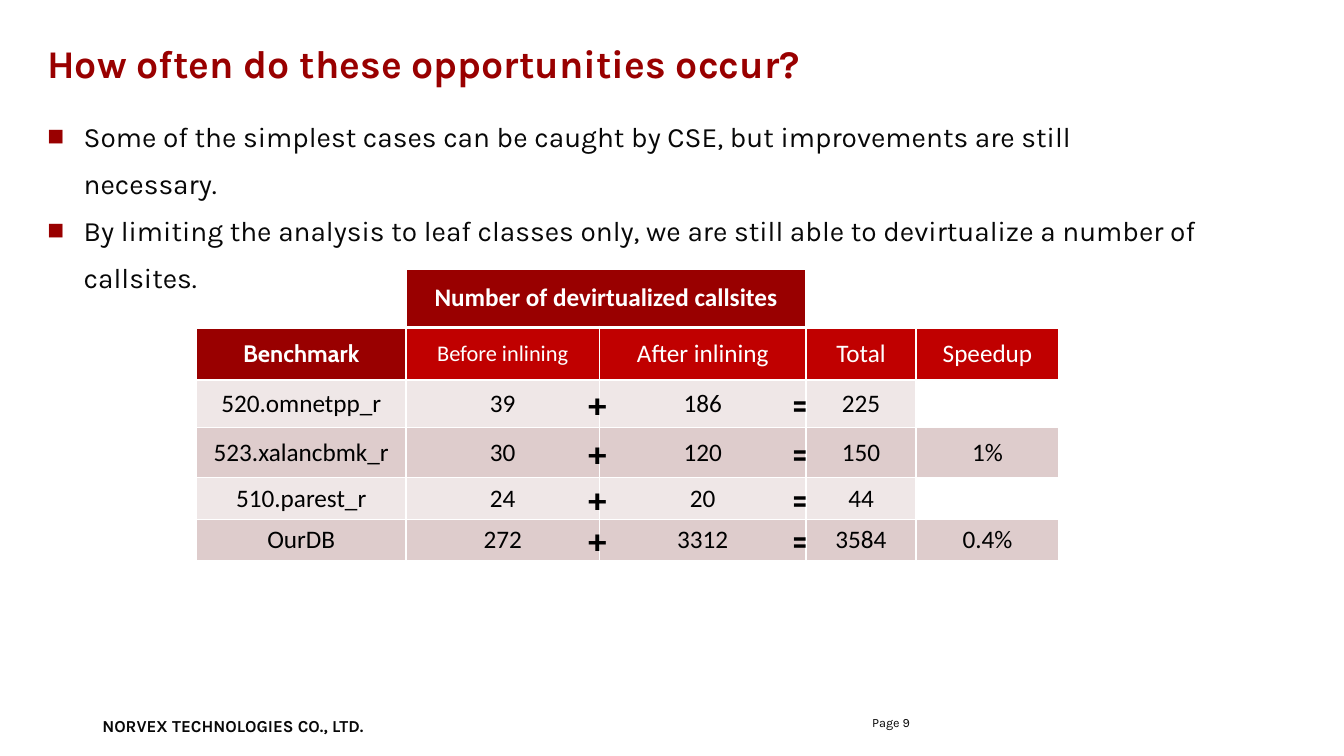
from dataclasses import dataclass
from itertools import accumulate

from lxml.etree import SubElement
from pptx import Presentation
from pptx.dml.color import RGBColor
from pptx.enum.text import MSO_ANCHOR, MSO_AUTO_SIZE, PP_ALIGN
from pptx.oxml import parse_xml
from pptx.oxml.ns import nsdecls, qn
from pptx.util import Pt


@dataclass(frozen=True)
class Theme:
    brand: str = "990000"
    header: str = "C00000"
    bands: tuple = ("EFE7E7", "DECCCC")
    ink: str = "080808"
    black: str = "000000"
    white: str = "FFFFFF"
    text_font: str = "Karla"
    table_font: str = "Calibri"
    label_font: str = "Cabin"
    title_size: int = 28
    operator_size: int = 24
    body_size: int = 20
    table_size: int = 18
    label_size: int = 17
    small_header_size: int = 16
    footer_size: int = 12
    page_size: int = 9


THEME = Theme()
BULLETS = (
    "Some of the simplest cases can be caught by CSE, but improvements are still necessary.",
    "By limiting the analysis to leaf classes only, we are still able to devirtualize a number of callsites.",
)
HEADERS = ("Benchmark", "Before inlining", "After inlining", "Total", "Speedup")
RESULTS = (
    ("520.omnetpp_r", "39", "186", "225", ""),
    ("523.xalancbmk_r", "30", "120", "150", "1%"),
    ("510.parest_r", "24", "20", "44", ""),
    ("OurDB", "272", "3312", "3584", "0.4%"),
)
COLUMN_WIDTHS = (51, 98.6, 138.2, 147.6, 78.5, 102.2)
ROW_HEIGHTS = (41.8, 37.4, 33.8, 36, 30.2, 27.4)


def add_run(paragraph, text, size, color, font=THEME.text_font, bold=False):
    run = paragraph.add_run()
    run.text = text
    run.font.size = Pt(size)
    run.font.name = font
    run.font.bold = bold
    run.font.color.rgb = RGBColor.from_string(color)


def place(shape, box):
    shape.left, shape.top, shape.width, shape.height = map(Pt, box)


def add_label(shapes, box, text, size, color, bold=False, wrap=True):
    frame = shapes.add_textbox(*map(Pt, box)).text_frame
    frame.word_wrap = wrap
    add_run(frame.paragraphs[0], text, size, color, bold=bold)
    return frame


def fill_title(title, box):
    place(title, box)
    frame = title.text_frame
    frame.auto_size = MSO_AUTO_SIZE.NONE
    frame.vertical_anchor = MSO_ANCHOR.MIDDLE
    paragraph = frame.paragraphs[0]
    paragraph.alignment = PP_ALIGN.LEFT
    add_run(paragraph, "How often do these opportunities occur?",
            THEME.title_size, THEME.brand, bold=True)


def set_square_bullet(paragraph, indent):
    properties = paragraph._p.get_or_add_pPr()
    properties.set("marL", str(Pt(indent)))
    properties.set("indent", str(-Pt(indent)))
    color = SubElement(properties, qn("a:buClr"))
    SubElement(color, qn("a:srgbClr"), val=THEME.brand)
    SubElement(properties, qn("a:buFont"), typeface="Arial")
    SubElement(properties, qn("a:buChar"), char="■")


def fill_body(body, box):
    place(body, box)
    frame = body.text_frame
    frame.auto_size = MSO_AUTO_SIZE.NONE
    for index, bullet in enumerate(BULLETS):
        paragraph = frame.add_paragraph() if index else frame.paragraphs[0]
        paragraph.line_spacing = 1.4
        paragraph.space_before = Pt(0)
        set_square_bullet(paragraph, 26)
        add_run(paragraph, bullet, THEME.body_size, THEME.ink)


def set_borders(cell, bottom):
    properties = cell._tc.get_or_add_tcPr()
    for index, (side, width) in enumerate((("L", 1), ("R", 1), ("T", 1), ("B", bottom))):
        properties.insert(index, parse_xml(
            f'<a:ln{side} {nsdecls("a")} w="{Pt(width)}"><a:solidFill>'
            f'<a:srgbClr val="{THEME.white}"/></a:solidFill></a:ln{side}>'))


def fill_cell(cell, text, fill, color, size=THEME.table_size, font=THEME.table_font, bold=False):
    cell.fill.solid()
    cell.fill.fore_color.rgb = RGBColor.from_string(fill)
    cell.vertical_anchor = MSO_ANCHOR.MIDDLE
    paragraph = cell.text_frame.paragraphs[0]
    paragraph.alignment = PP_ALIGN.CENTER
    add_run(paragraph, text, size, color, font, bold)


def add_results_table(shapes, box):
    table = shapes.add_table(len(ROW_HEIGHTS), len(COLUMN_WIDTHS), *map(Pt, box)).table
    table.first_row = table.horz_banding = False
    for column, width in zip(table.columns, COLUMN_WIDTHS):
        column.width = Pt(width)
    for index, (row, height) in enumerate(zip(table.rows, ROW_HEIGHTS)):
        row.height = Pt(height)
        for cell in row.cells:
            cell.fill.background()
            set_borders(cell, bottom=1 if index else 3)

    table.cell(0, 2).merge(table.cell(0, 3))
    fill_cell(table.cell(0, 2), "Number of devirtualized callsites",
              THEME.brand, THEME.white, bold=True)
    for row in range(1, len(ROW_HEIGHTS)):
        table.cell(row, 0).merge(table.cell(row, 1))

    value_columns = (0, 2, 3, 4, 5)
    for column, header in zip(value_columns, HEADERS):
        cell = table.cell(1, column)
        if header == "Benchmark":
            fill_cell(cell, header, THEME.brand, THEME.white,
                      THEME.label_size, THEME.label_font, bold=True)
        else:
            size = THEME.small_header_size if header == "Before inlining" else THEME.table_size
            fill_cell(cell, header, THEME.header, THEME.white, size)
    for row, result in enumerate(RESULTS):
        for column, value in zip(value_columns, result):
            if value:
                fill_cell(table.cell(row + 2, column), value, THEME.bands[row % 2], THEME.black)


def add_operators(shapes, box):
    """Put + and = on the column edges around "After inlining", one pair per result row."""
    left, top = box[:2]
    column_edges = list(accumulate(COLUMN_WIDTHS, initial=left))
    row_tops = list(accumulate(ROW_HEIGHTS, initial=top))
    height = 36
    for row_top, row_height in list(zip(row_tops, ROW_HEIGHTS))[2:]:
        pair = shapes.add_group_shape()
        operator_top = row_top + (row_height - height) / 2 - 1
        for operator, edge, width in (("+", column_edges[3], 30), ("=", column_edges[4], 36)):
            frame = add_label(pair.shapes, (edge - width / 2, operator_top, width, height),
                              operator, THEME.operator_size, THEME.black, bold=True)
            frame.auto_size = MSO_AUTO_SIZE.SHAPE_TO_FIT_TEXT


def add_footer(shapes, box):
    left, top, width, height = box
    company = add_label(shapes, (left, top, 205, height), "NORVEX TECHNOLOGIES CO., LTD.",
                        THEME.footer_size, THEME.ink, bold=True, wrap=False)
    company.margin_top = company.margin_bottom = Pt(3)
    page_width = 111
    page = add_label(shapes, (left + width - page_width, top + 4, page_width, 16),
                     "Page 9", THEME.page_size, THEME.ink)
    page.margin_left = page.margin_right = page.margin_top = page.margin_bottom = 0
    page.paragraphs[0].line_spacing = 0.85


def build_results_slide(presentation):
    slide = presentation.slides.add_slide(presentation.slide_layouts[1])
    table_box = (140.4, 192.2, sum(COLUMN_WIDTHS), sum(ROW_HEIGHTS))
    fill_title(slide.shapes.title, (26.6, 0, 911, 90))
    fill_body(slide.placeholders[1], (26.6, 72, 843, 114))
    add_results_table(slide.shapes, table_box)
    add_operators(slide.shapes, table_box)
    add_footer(slide.shapes, (66, 508, 668, 21))


def main():
    presentation = Presentation()
    presentation.slide_width, presentation.slide_height = Pt(960), Pt(540)
    build_results_slide(presentation)
    presentation.save("out.pptx")


if __name__ == "__main__":
    main()
